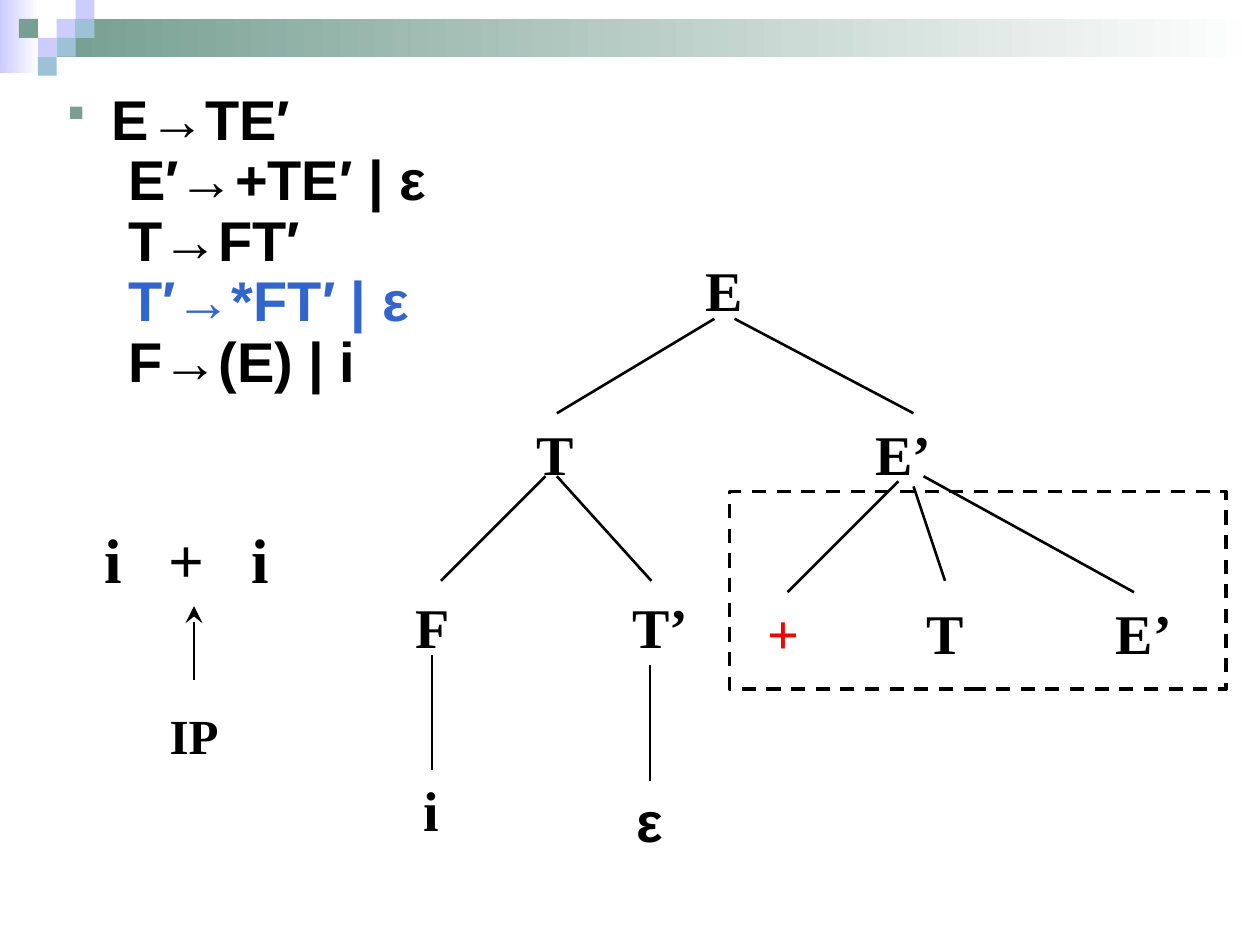
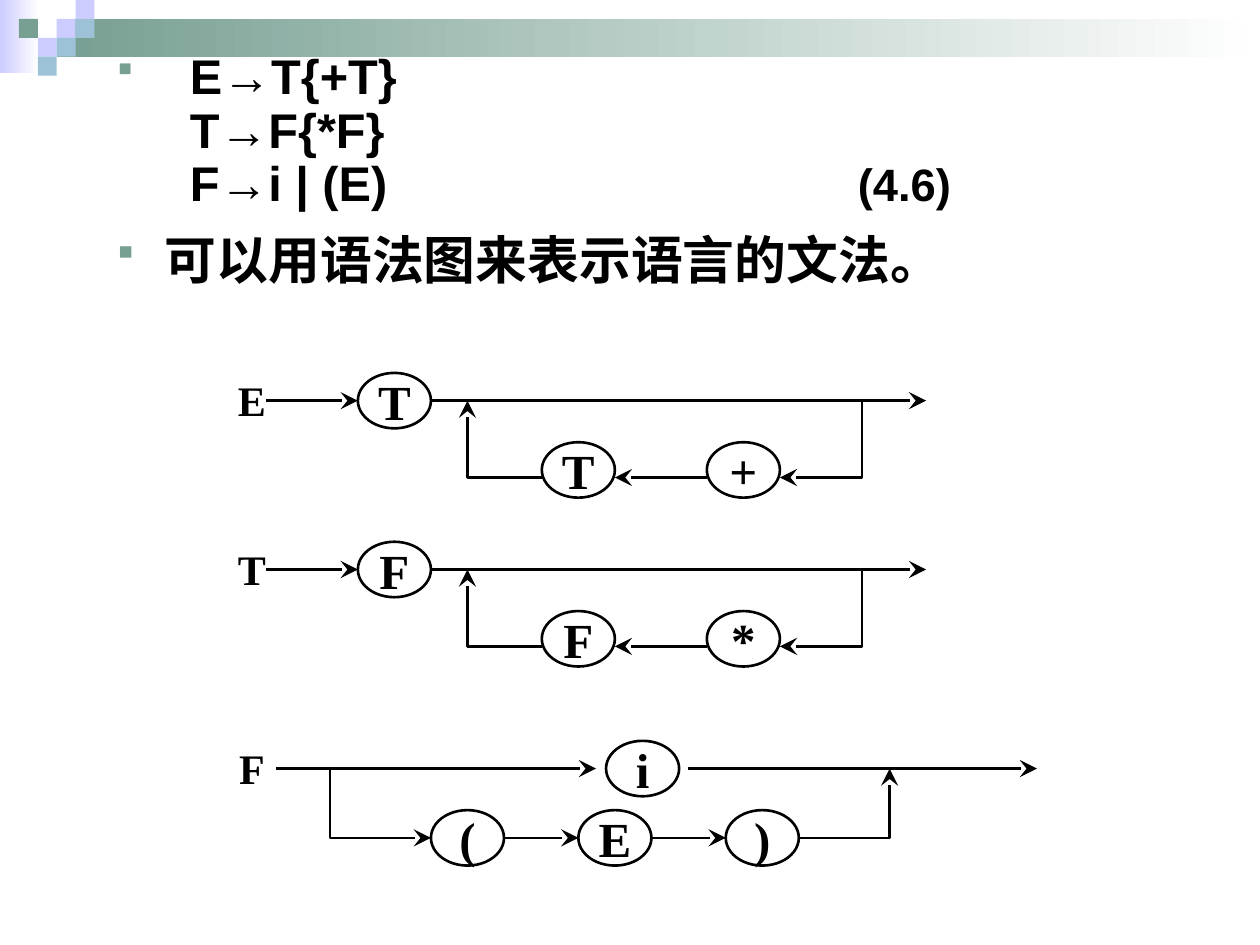
"""Build two slides on predictive parsing: a parse tree and syntax diagrams."""
from dataclasses import dataclass

from lxml import etree
from pptx import Presentation
from pptx.dml.color import RGBColor
from pptx.enum import dml, shapes, text
from pptx.oxml.ns import qn
from pptx.util import Inches, Pt

BLACK = RGBColor(0, 0, 0)
RED = RGBColor(0xFF, 0, 0)
WHITE = RGBColor(0xFF, 0xFF, 0xFF)
BLUE = RGBColor(0x33, 0x66, 0xCC)
GREEN = RGBColor(0x77, 0x9F, 0x92)
LILAC = RGBColor(0xCC, 0xCC, 0xFF)
SKY = RGBColor(0x9D, 0xC2, 0xD7)
SERIF, SANS = "Times New Roman", "Arial"
TILE = 0.15
TILES = [(3, 1, LILAC), (4, 0, LILAC), (4, 1, SKY), (2, 2, LILAC),
         (1, 1, GREEN), (3, 2, SKY), (2, 3, SKY)]
OVAL_W, OVAL_H = 0.58, 0.44


@dataclass
class Node:
    """A symbol of the parse tree, placed by its centre and top."""
    symbol: str
    x: float
    y: float
    color: RGBColor = BLACK
    font: str = SERIF


@dataclass
class Rule:
    """One paragraph of a grammar."""
    words: str
    size: float
    spacing: float
    margin: float = 0
    indent: float = 0
    before: float = 0
    color: RGBColor = BLACK
    bullet: bool = False
    tabs: tuple[float, ...] = ()
    note: str = ""


TREE_NODES = [
    Node("E", 5.75, 1.98), Node("T", 4.41, 3.28), Node("E’", 7.17, 3.28),
    Node("F", 3.43, 4.65), Node("T’", 5.24, 4.65), Node("i", 3.42, 6.11),
    Node("ε", 5.16, 6.19, font=SANS), Node("+", 6.22, 4.7, RED),
    Node("T", 7.5, 4.7), Node("E’", 9.08, 4.7),
]
BRANCHES = [
    (5.67, 2.53, 4.42, 3.28), (5.83, 2.53, 7.25, 3.28),
    (4.33, 3.78, 3.5, 4.61), (4.42, 3.78, 5.17, 4.61),
    (3.43, 5.2, 3.43, 6.11), (5.16, 5.28, 5.16, 6.2),
    (7.13, 3.82, 6.25, 4.7), (7.25, 3.86, 7.5, 4.61),
    (7.33, 3.78, 9, 4.7),
]
LL1_GRAMMAR = [
    Rule("E→TE′", 32, 0.9, 0.36, -0.36, bullet=True),
    Rule("E′→+TE′ | ε", 32, 0.9, 0.49),
    Rule("T→FT′", 32, 0.9, 0.49),
    Rule("T′→*FT′ | ε", 32, 0.9, 0.49, color=BLUE),
    Rule("F→(E) | i", 32, 0.9, 0.49),
]
EBNF_GRAMMAR = [
    Rule("E→T{+T}", 27.8, 0.7, 0.58, -0.58, bullet=True),
    Rule("T→F{*F}", 27.8, 0.7, 0.58, before=7.5),
    Rule("\tF→i | (E)", 27.8, 0.7, before=7, tabs=(0.58, 5.88), note="(4.6)"),
    Rule("可以用语法图来表示语言的文法。", 29.6, 0.7, 0.38, -0.38,
         before=20, bullet=True),
]


def add_child(parent, tag: str, **attributes: str):
    """Append a drawing element with the given attributes."""
    return etree.SubElement(parent, qn(tag), attributes)


def set_font(paragraph, size: float, name: str, color: RGBColor = BLACK) -> None:
    """Give a paragraph its bold font."""
    font = paragraph.font
    font.size, font.name, font.bold = Pt(size), name, True
    font.color.rgb = color


def set_tabs(paragraph, stops: tuple[float, ...]) -> None:
    """Add left tab stops, measured in inches."""
    tabs = add_child(paragraph._p.get_or_add_pPr(), "a:tabLst")
    for stop in stops:
        add_child(tabs, "a:tab", pos=str(Inches(stop)), algn="l")


def set_bullet(paragraph) -> None:
    """Give a paragraph the green square bullet."""
    props = paragraph._p.get_or_add_pPr()
    color = add_child(props, "a:buClr")
    add_child(color, "a:srgbClr", val=str(GREEN))
    add_child(props, "a:buSzPct", val="75000")
    add_child(props, "a:buFont", typeface="Wingdings", charset="2")
    add_child(props, "a:buChar", char="§")


def draw_line(line, arrow: bool = False) -> None:
    """Style a black line, ending in an arrowhead if asked."""
    line.color.rgb = BLACK
    line.width = Pt(1.5)
    if arrow:
        add_child(line._get_or_add_ln(), "a:tailEnd",
                  type="stealth", w="lg", len="lg")


def add_line(slide, x1: float, y1: float, x2: float, y2: float,
             arrow: bool = False) -> None:
    """Draw a straight line between two points."""
    link = slide.shapes.add_connector(
        shapes.MSO_CONNECTOR.STRAIGHT,
        Inches(x1), Inches(y1), Inches(x2), Inches(y2))
    draw_line(link.line, arrow)
    add_child(link._element.spPr, "a:effectLst")


def add_bend(slide, *points: tuple[float, float]) -> None:
    """Draw an angled arrow through the points."""
    start, *rest = [(Inches(x), Inches(y)) for x, y in points]
    builder = slide.shapes.build_freeform(*start)
    builder.add_line_segments(rest, close=False)
    bend = builder.convert_to_shape()
    bend.shadow.inherit = False
    bend.fill.background()
    draw_line(bend.line, arrow=True)


def add_box(slide, x: float, y: float, w: float, h: float,
            kind=shapes.MSO_SHAPE.RECTANGLE):
    """Add a preset shape without fill, line or shadow."""
    box = slide.shapes.add_shape(kind, Inches(x), Inches(y), Inches(w), Inches(h))
    box.shadow.inherit = False
    box.fill.background()
    box.line.fill.background()
    return box


def write_symbol(frame, symbol: str, size: float, font: str = SERIF,
                 color: RGBColor = BLACK) -> None:
    """Centre one unwrapped symbol in a text frame."""
    frame.word_wrap = False
    label = frame.paragraphs[0]
    label.text = symbol
    label.alignment = text.PP_ALIGN.CENTER
    set_font(label, size, font, color)


def add_label(slide, symbol: str, x: float, y: float, size: float,
              font: str = SERIF, color: RGBColor = BLACK, height: float = 0.64):
    """Add a text label centred on x with its top at y."""
    width = 0.8
    label = slide.shapes.add_textbox(
        Inches(x - width / 2), Inches(y), Inches(width), Inches(height))
    write_symbol(label.text_frame, symbol, size, font, color)
    return label


def add_oval(slide, symbol: str, x: float, y: float) -> None:
    """Draw an oval around a symbol, centred on (x, y)."""
    oval = add_box(slide, x - OVAL_W / 2, y - OVAL_H / 2, OVAL_W, OVAL_H,
                   shapes.MSO_SHAPE.OVAL)
    draw_line(oval.line)
    oval.text_frame.vertical_anchor = text.MSO_ANCHOR.MIDDLE
    write_symbol(oval.text_frame, symbol, 28)


def add_head(slide, symbol: str, y: float) -> None:
    """Name a syntax diagram at its left end."""
    head = add_label(slide, symbol, 2, y - 0.17, 24, height=0.33)
    head.text_frame.vertical_anchor = text.MSO_ANCHOR.MIDDLE


def add_grammar(slide, rules: list[Rule], x: float, y: float,
                w: float, h: float) -> None:
    """Write the grammar rules in one text box."""
    frame = slide.shapes.add_textbox(
        Inches(x), Inches(y), Inches(w), Inches(h)).text_frame
    frame.word_wrap = True
    for number, rule in enumerate(rules):
        line = frame.add_paragraph() if number else frame.paragraphs[0]
        if rule.margin:
            props = line._p.get_or_add_pPr()
            props.set("marL", str(Inches(rule.margin)))
            props.set("indent", str(Inches(rule.indent)))
        if rule.bullet:
            set_bullet(line)
        if rule.tabs:
            set_tabs(line, rule.tabs)
        line.line_spacing = rule.spacing
        if rule.before:
            line.space_before = Pt(rule.before)
        set_font(line, rule.size, SANS, rule.color)
        line.add_run().text = rule.words
        if rule.note:
            note = line.add_run()
            note.text = "\t" + rule.note
            note.font.size = Pt(25.9)


def add_fade(slide, x: float, y: float, w: float, h: float,
             color: RGBColor) -> None:
    """Draw a band that fades to white on the right."""
    band = add_box(slide, x, y, w, h)
    band.fill.gradient()
    band.fill.gradient_angle = 0
    for stop, shade in zip(band.fill.gradient_stops, (color, WHITE)):
        stop.color.rgb = shade


def new_slide(deck):
    """Add a blank slide with the shared band and tiles."""
    slide = deck.slides.add_slide(deck.slide_layouts[6])
    add_fade(slide, 0, 0, 0.31, 0.58, LILAC)
    add_fade(slide, 0.45, 0.15, 9.55, 0.3, GREEN)
    for column, row, color in TILES:
        tile = add_box(slide, column * TILE, row * TILE, TILE, TILE)
        tile.fill.solid()
        tile.fill.fore_color.rgb = color
    return slide


def add_loop(slide, head: str, operand: str, operator: str, y: float) -> None:
    """Draw the syntax diagram of a repeated operand."""
    back = y + 0.61
    add_head(slide, head, y)
    add_oval(slide, operand, 3.13, y)
    add_oval(slide, operand, 4.59, y + 0.55)
    add_oval(slide, operator, 5.9, y + 0.55)
    add_line(slide, 2.11, y, 2.84, y, arrow=True)
    add_line(slide, 3.42, y, 7.35, y, arrow=True)
    add_bend(slide, (6.84, y), (6.84, back), (6.19, back))
    add_line(slide, 5.61, back, 4.88, back, arrow=True)
    add_bend(slide, (4.3, back), (3.71, back), (3.71, y))


def add_choice(slide, y: float) -> None:
    """Draw the syntax diagram of F with its two branches."""
    lower, step = y + 0.55, 1.17
    add_head(slide, "F", y)
    add_oval(slide, "i", 5.1, y)
    add_line(slide, 2.19, y, 4.73, y, arrow=True)
    add_line(slide, 5.46, y, 8.23, y, arrow=True)
    for place, symbol in enumerate("(E)"):
        x = 3.71 + place * step
        add_oval(slide, symbol, x, lower)
        if place:
            add_line(slide, x - step + OVAL_W / 2, lower,
                     x - OVAL_W / 2, lower, arrow=True)
    add_bend(slide, (2.62, y), (2.62, lower), (3.42, lower))
    add_bend(slide, (6.34, lower), (7.06, lower), (7.06, y))


def build_tree_slide(deck) -> None:
    """Show the parse tree while the input pointer is at the plus sign."""
    slide = new_slide(deck)
    sentence = slide.shapes.add_textbox(
        Inches(0.73), Inches(4.08), Inches(1.86), Inches(0.7))
    tokens = sentence.text_frame.paragraphs[0]
    set_tabs(tokens, (0.51, 1.17))
    set_font(tokens, 36, SERIF)
    tokens.add_run().text = "i\t+\ti"
    add_line(slide, 1.54, 5.4, 1.54, 4.81, arrow=True)
    add_label(slide, "IP", 1.54, 5.55, 28)
    for branch in BRANCHES:
        add_line(slide, *branch)
    for node in TREE_NODES:
        add_label(slide, node.symbol, node.x, node.y, 32, node.font, node.color)
    expansion = add_box(slide, 5.79, 3.9, 3.94, 1.57)
    draw_line(expansion.line)
    expansion.line.width = Pt(2)
    expansion.line.dash_style = dml.MSO_LINE.DASH
    add_grammar(slide, LL1_GRAMMAR, 0.43, 0.68, 4.43, 2.98)


def build_diagram_slide(deck) -> None:
    """Show the extended grammar with its syntax diagrams."""
    slide = new_slide(deck)
    add_grammar(slide, EBNF_GRAMMAR, 0.83, 0.44, 8.67, 2)
    add_loop(slide, "E", "T", "+", 3.18)
    add_loop(slide, "T", "F", "*", 4.52)
    add_choice(slide, 6.1)


def main() -> None:
    """Build and save the deck."""
    deck = Presentation()
    deck.slide_width, deck.slide_height = Inches(10), Inches(7.5)
    build_tree_slide(deck)
    build_diagram_slide(deck)
    deck.save("out.pptx")


if __name__ == "__main__":
    main()
